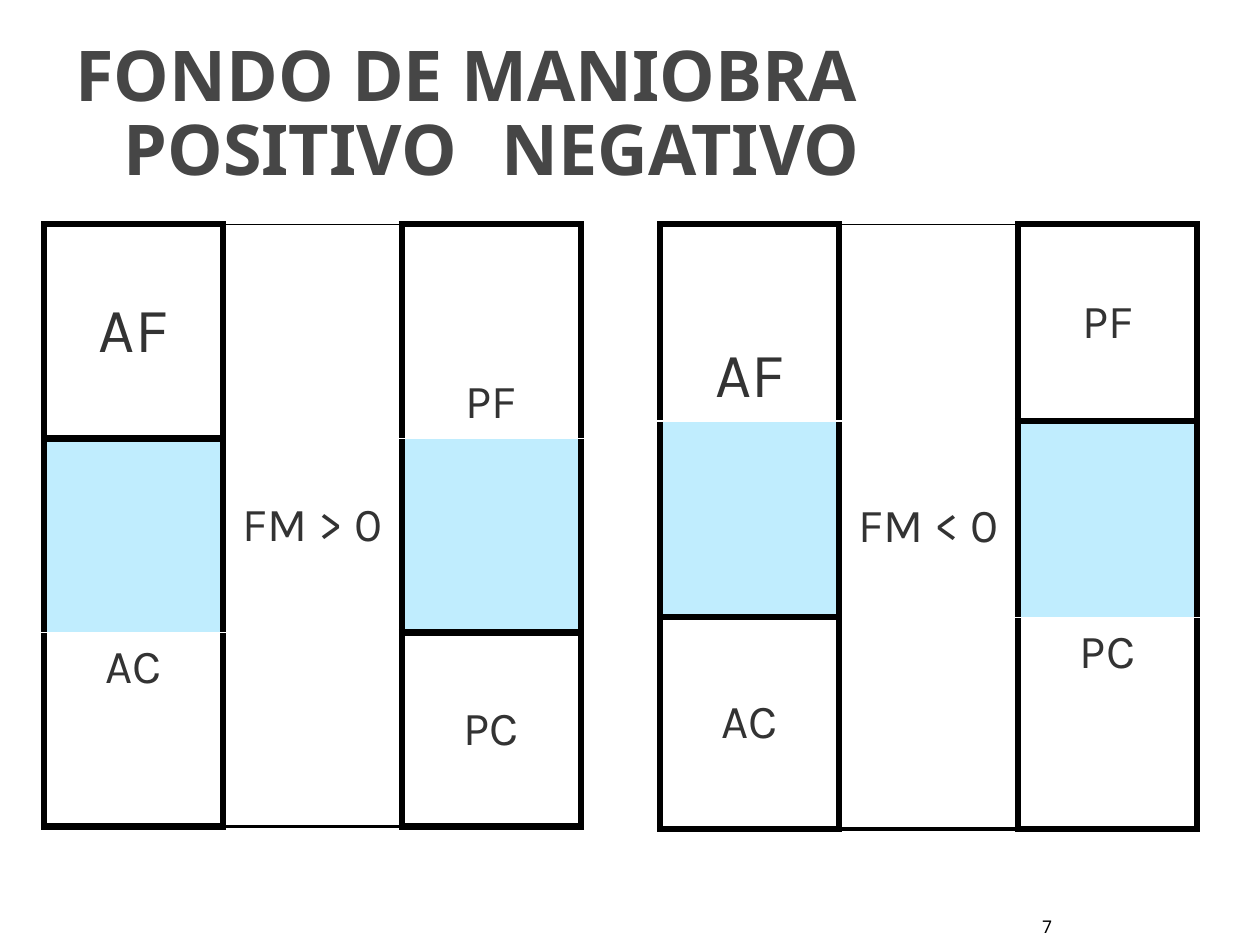
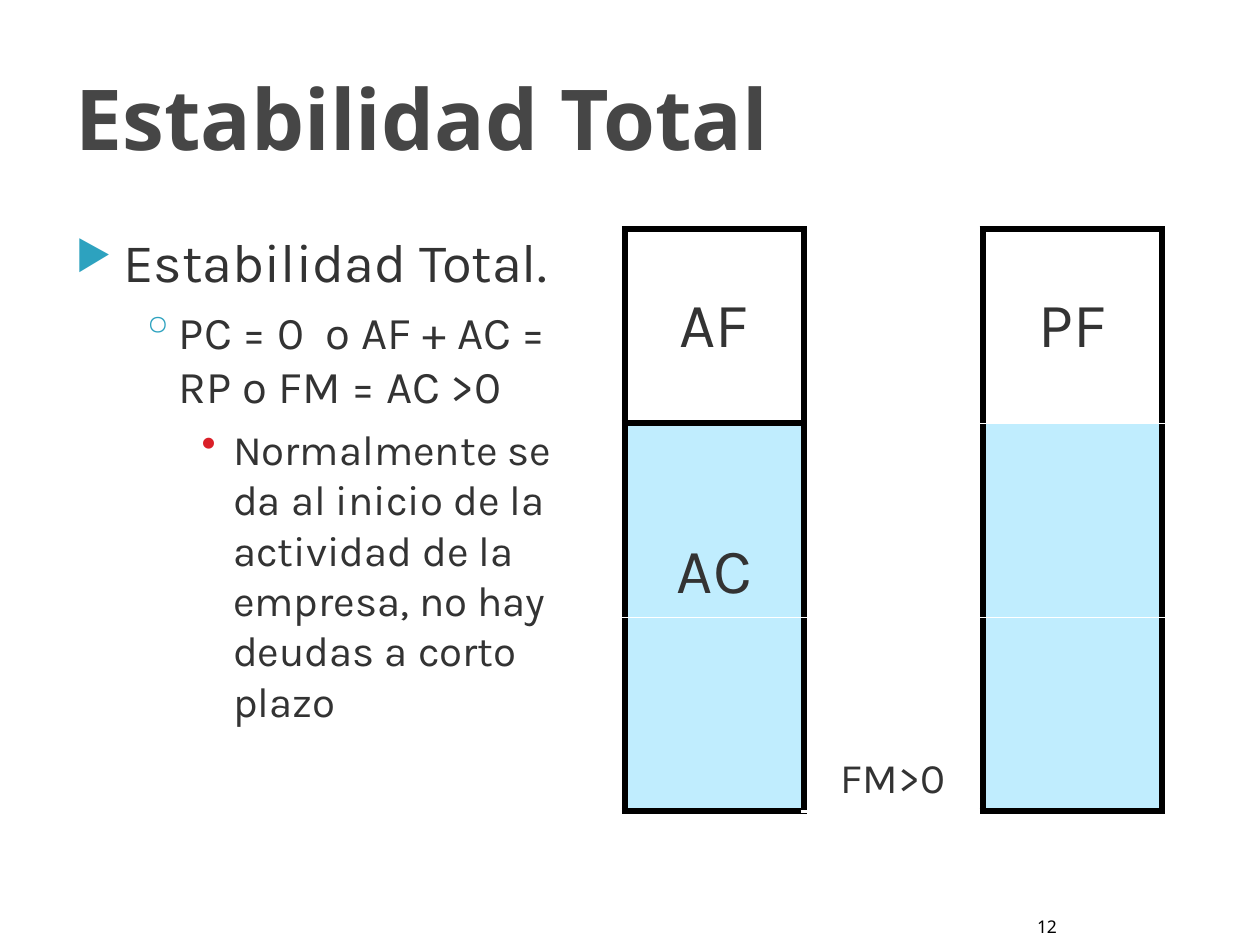
"""Build two slides on working capital and total stability."""
from pptx import Presentation
from pptx import util as u
from pptx.dml.color import RGBColor
from pptx.enum import text as t
from pptx.oxml import ns, xmlchemy

BLACK = RGBColor(0x00, 0x00, 0x00)
WHITE = RGBColor(0xFF, 0xFF, 0xFF)
HEADING = RGBColor(0x46, 0x46, 0x46)
INK = RGBColor(0x33, 0x33, 0x33)
SKY = RGBColor(0xC0, 0xED, 0xFE)
TEAL = RGBColor(0x2D, 0xA2, 0xBF)
RED = RGBColor(0xDA, 0x1F, 0x28)

HEAD_FONT, BODY_FONT = "Noto Sans", "Karla"
PAD, COLUMN = 0.06, 1.42
TOP, MIDDLE, BOTTOM = t.MSO_ANCHOR.TOP, t.MSO_ANCHOR.MIDDLE, t.MSO_ANCHOR.BOTTOM

THICK, MEDIUM, THIN = (BLACK, 4), (BLACK, 2.25), (BLACK, 1)
GAP, WIDE_GAP, FINE_GAP = (WHITE, 1), (WHITE, 2.25), (WHITE, 0.25)

# Each cell: text, size, anchor, fill, top edge, bottom edge.
POSITIVE = dict(
    at=(0.35, 1.78), rows=(1.7, 1.54, 1.54),
    middle=("FM > 0", 27, MIDDLE, WHITE, THIN, MEDIUM),
    left=[("AF", 36, MIDDLE, WHITE, THICK, THICK),
          ("", 27, TOP, SKY, THICK, GAP),
          ("AC", 27, TOP, WHITE, GAP, THICK)],
    right=[("PF", 27, BOTTOM, WHITE, THICK, GAP),
           ("", 27, TOP, SKY, GAP, THICK),
           ("PC", 27, MIDDLE, WHITE, THICK, THICK)])
NEGATIVE = dict(
    at=(5.24, 1.78), rows=(1.56, 1.56, 1.68),
    middle=("FM < 0", 27, MIDDLE, WHITE, THIN, MEDIUM),
    left=[("AF", 36, BOTTOM, WHITE, THICK, GAP),
          ("", 27, TOP, SKY, GAP, THICK),
          ("AC", 27, MIDDLE, WHITE, THICK, THICK)],
    right=[("PF", 27, MIDDLE, WHITE, THICK, THICK),
           ("", 27, TOP, SKY, THICK, GAP),
           ("PC", 27, TOP, WHITE, GAP, THICK)])
STABLE = dict(
    at=(4.96, 1.82), rows=(1.54, 1.54, 1.54),
    middle=("FM>0", 24, BOTTOM, WHITE, GAP, WIDE_GAP),
    left=[("AF", 36, MIDDLE, WHITE, THICK, THICK),
          ("AC", 36, BOTTOM, SKY, THICK, GAP),
          ("", 36, TOP, SKY, GAP, THICK)],
    right=[("PF", 36, MIDDLE, WHITE, THICK, GAP),
           ("", 36, TOP, SKY, GAP, FINE_GAP),
           ("", 36, TOP, SKY, FINE_GAP, THICK)])

# Each point: text, size, margin, hanging indent, space before, bullet, colour, bullet share.
POINTS = [
    ("Estabilidad Total.", 31, 0.42, -0.38, 0, "▶", TEAL, 75),
    ("PC = 0  o AF + AC = RP o FM = AC >0", 26, 0.86, -0.31, 6, "◦", TEAL, 100),
    ("Normalmente se da al inicio de la actividad de la empresa, "
     "no hay deudas a corto plazo", 24, 1.29, -0.25, 6, "•", RED, 100),
]
SLIDES = [
    dict(title="FONDO DE MANIOBRA POSITIVO\tNEGATIVO", size=40, spacing=0.88,
         number="7", points=[], balances=[POSITIVE, NEGATIVE]),
    dict(title="Estabilidad Total", size=48, spacing=1,
         number="12", points=POINTS, balances=[STABLE]),
]


def add(parent, tag, **attrs):
    """Append a DrawingML element."""
    child = xmlchemy.OxmlElement(tag)
    for name, value in attrs.items():
        child.set(name, str(value))
    parent.append(child)
    return child


def style(p, font, size, color, bold=False):
    """Format every run of a paragraph."""
    for r in p.runs:
        r.font.name, r.font.size, r.font.bold = font, u.Pt(size), bold
        r.font.color.rgb = color


def indent(p, margin, hanging):
    """Set a hanging indent and return the paragraph properties."""
    pPr = p._p.get_or_add_pPr()
    pPr.set("marL", str(u.Inches(margin)))
    pPr.set("indent", str(u.Inches(hanging)))
    return pPr


def frame(tf, right=PAD, anchor=TOP, wrap=True):
    """Set the insets, anchor and wrapping of a text frame."""
    tf.auto_size, tf.word_wrap = t.MSO_AUTO_SIZE.NONE, wrap
    tf.vertical_anchor = anchor
    tf.margin_left = tf.margin_top = tf.margin_bottom = u.Inches(PAD)
    tf.margin_right = u.Inches(right)


def add_title(s, title, size, spacing):
    """Place and format the title placeholder."""
    sp = s.shapes.title
    sp.left, sp.top, sp.width, sp.height = map(u.Inches, (0.5, 0.1, 9, 1.65))
    frame(sp.text_frame, 0.14, MIDDLE)
    sp.text_frame.text = title
    p = sp.text_frame.paragraphs[0]
    p.alignment, p.line_spacing = t.PP_ALIGN.LEFT, spacing
    tabs = add(indent(p, 0.42, -0.38), "a:tabLst")
    add(tabs, "a:tab", pos=u.Inches(4.07), algn="l")
    style(p, HEAD_FONT, size, HEADING, True)


def add_number(s, number):
    """Write the slide number."""
    tf = s.shapes.add_textbox(*map(u.Inches, (8.16, 7.22, 0.3, 0.28))).text_frame
    frame(tf, anchor=BOTTOM, wrap=False)
    tf.text = number
    tf.paragraphs[0].alignment = t.PP_ALIGN.CENTER
    style(tf.paragraphs[0], HEAD_FONT, 10, BLACK)


def add_points(s, points):
    """Write the bulleted outline."""
    tf = s.shapes.add_textbox(*map(u.Inches, (0.5, 1.75, 4.11, 5.75))).text_frame
    frame(tf, 0.14)
    for level, (text, size, margin, hanging, before, mark, color, share) in enumerate(points):
        p = tf.paragraphs[0] if level == 0 else tf.add_paragraph()
        p.text, p.level, p.space_before = text, level, u.Pt(before)
        pPr = indent(p, margin, hanging)
        add(add(pPr, "a:buClr"), "a:srgbClr", val=color)
        add(pPr, "a:buSzPct", val=share * 1000)
        add(pPr, "a:buChar", char=mark)
        style(p, BODY_FONT, size, INK)


def fill_cell(cell, text, size, anchor, fill, top, bottom):
    """Write one cell with its edges and fill."""
    cell.margin_left = cell.margin_right = u.Inches(PAD)
    cell.margin_top = cell.margin_bottom = u.Inches(PAD)
    cell.vertical_anchor = anchor
    cell.text = text
    p = cell.text_frame.paragraphs[0]
    p.alignment = t.PP_ALIGN.CENTER
    style(p, BODY_FONT, size, INK)
    tcPr = cell._tc.get_or_add_tcPr()
    for side, (color, width) in zip("LRTB", (THICK, THICK, top, bottom)):
        ln = add(tcPr, "a:ln" + side, w=u.Pt(width))
        add(add(ln, "a:solidFill"), "a:srgbClr", val=color)
    cell.fill.solid()
    cell.fill.fore_color.rgb = fill


def add_balance(s, at, rows, left, middle, right):
    """Draw a balance sheet as assets, working capital and liabilities."""
    box = (*at, 3 * COLUMN, sum(rows))
    table = s.shapes.add_table(3, 3, *map(u.Inches, box)).table
    table.first_row = table.horz_banding = False
    for column in table.columns:
        column.width = u.Inches(COLUMN)
    table.cell(0, 1).merge(table.cell(2, 1))
    spanned = [middle] + [("", *middle[1:])] * 2
    for i, (height, cells) in enumerate(zip(rows, zip(left, spanned, right))):
        table.rows[i].height = u.Inches(height)
        for j, cell in enumerate(cells):
            fill_cell(table.cell(i, j), *cell)


def main():
    """Build and save the presentation."""
    prs = Presentation()
    prs.slide_width, prs.slide_height = u.Inches(10), u.Inches(7.5)
    for page in SLIDES:
        s = prs.slides.add_slide(prs.slide_layouts.get_by_name("Title Only"))
        add_title(s, page["title"], page["size"], page["spacing"])
        if page["points"]:
            add_points(s, page["points"])
        add_number(s, page["number"])
        for balance in page["balances"]:
            add_balance(s, **balance)
    prs.save("out.pptx")


if __name__ == "__main__":
    main()
